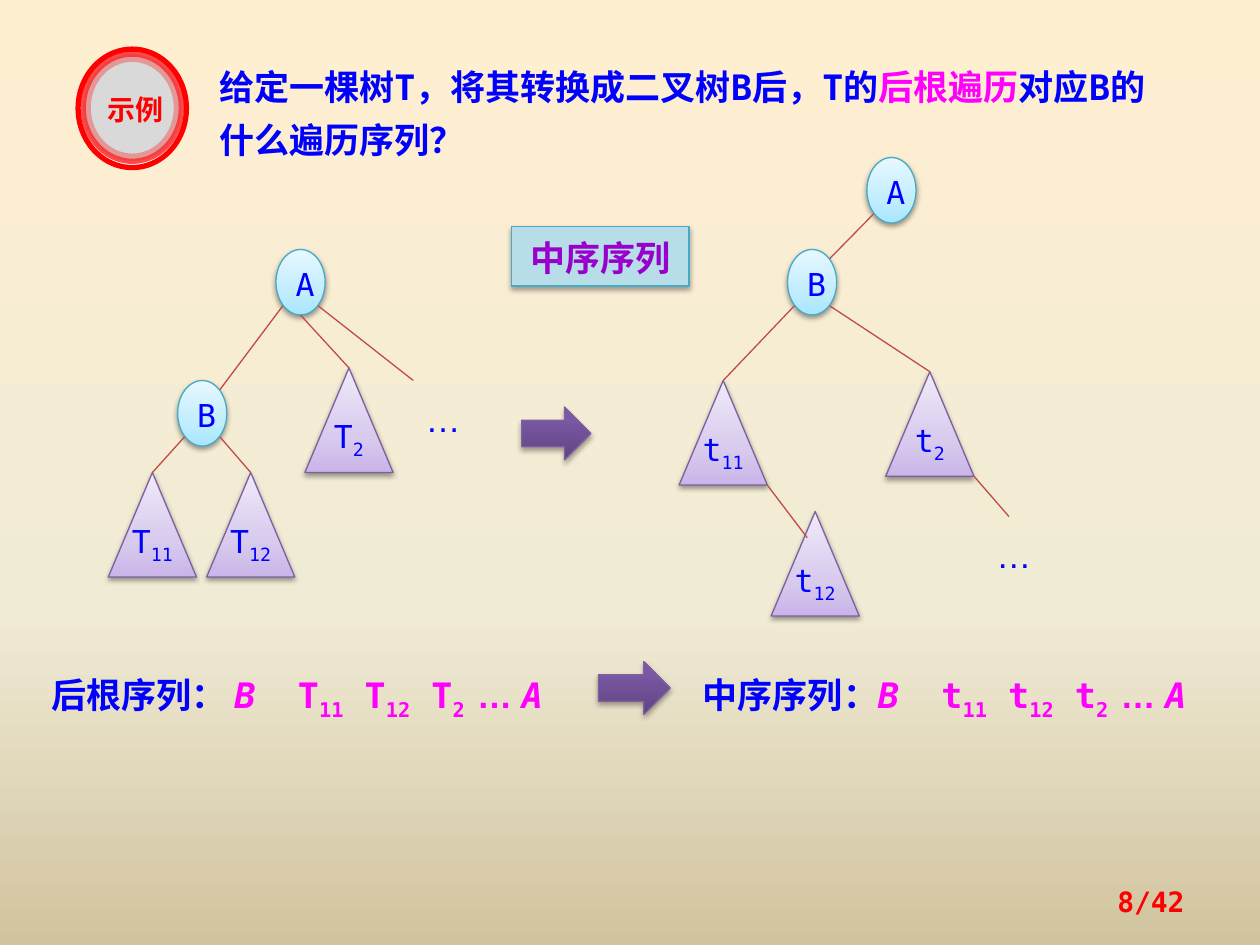
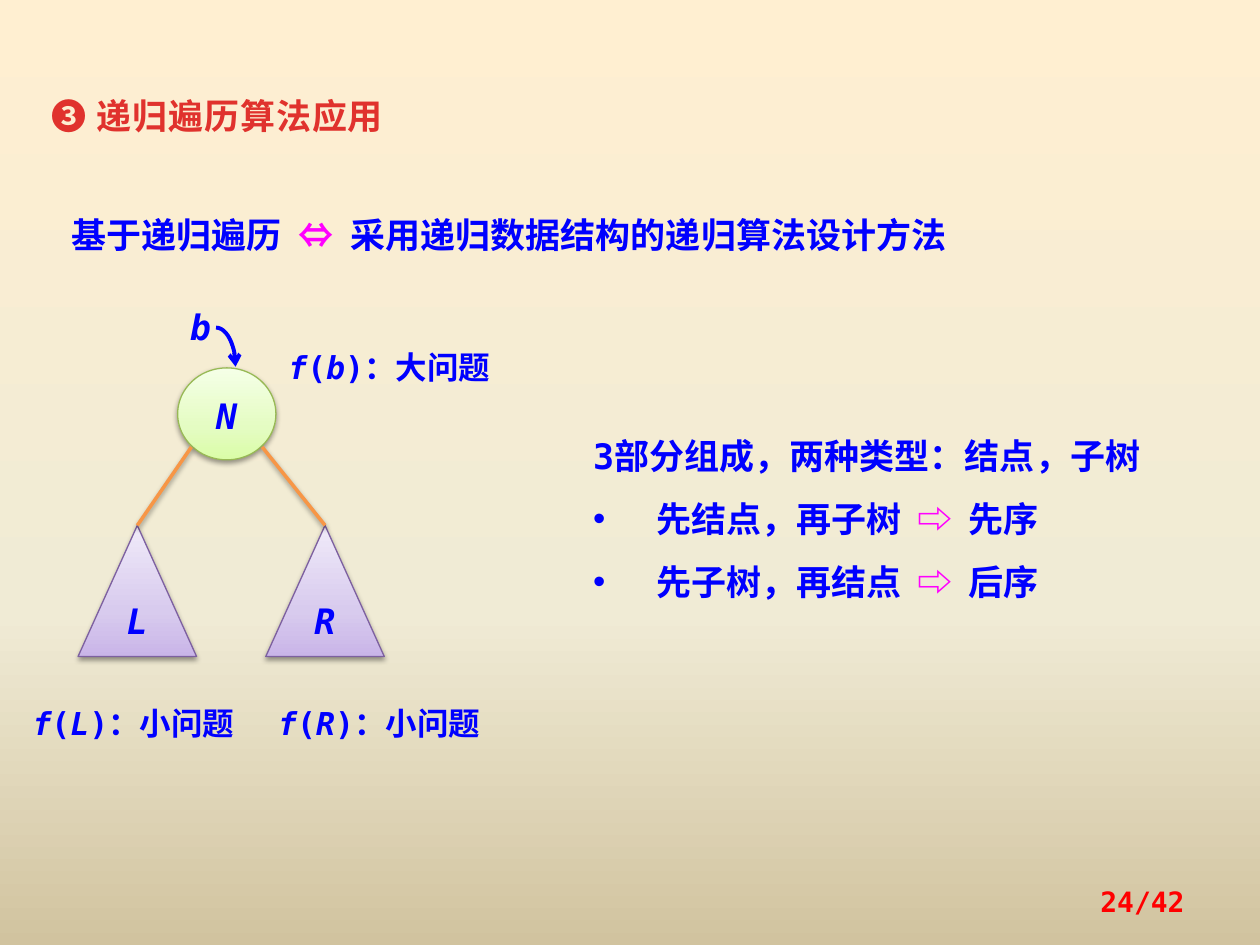
from lxml.etree import SubElement
from pptx import Presentation
from pptx.dml.color import RGBColor
from pptx.enum.shapes import MSO_CONNECTOR as Connector, MSO_SHAPE as Shape
from pptx.enum.text import MSO_ANCHOR as Anchor, MSO_AUTO_SIZE as AutoSize, PP_ALIGN as Align
from pptx.oxml.ns import qn
from pptx.util import Inches, Pt

WIDTH, HEIGHT = 10, 7.5
COLUMNS, ROWS = 128, 72
MONO, CJK, SERIF, SANS = "DejaVu Sans Mono", "Noto Sans CJK SC", "Times New Roman", "Arial"
COLORS = {
    "blue": "0000FF", "magenta": "FF00FF", "red": "FF0000", "violet": "9900CC",
    "edge": "BF4C48", "orange": "F79646", "label": "B7DEE8", "teal": "46AAC5",
    "purple": "7D60A0", "green": "98B955", "white": "F8F8F8", "gray": "D9D9D9",
}
GRADIENTS = {
    "background": ((0, "FFEFD1"), (65, "F0EBD5"), (100, "D1C39F")),
    "node": ((0, "A7E6FF"), (35, "C1EDFF"), (100, "E7F8FF")),
    "subtree": ((0, "C9B5E8"), (35, "D8CBEE"), (100, "F0EAF9")),
    "root": ((0, "DAFDA7"), (35, "E4FCC2"), (100, "F5FFE7")),
    "arrow": ((0, "5F4480"), (80, "7B58A6"), (100, "7C57A8")),
    "heading": ((25, "E0322D"), (100, "A2201C")),
}
SOFT_SHADOW, DEEP_SHADOW = (38, 1.6), (35, 1.8)

# Run styles
PLAIN = {"size": 20, "font": MONO, "color": "blue"}
SMALL = {**PLAIN, "size": 18}
BOLD = {**PLAIN, "bold": True}
NOTE = {**BOLD, "size": 18}
PINK = {"color": "magenta"}
ITALIC = {"italic": True}
SUB = {"baseline": -25}
WIDE, NARROW = {"spacing": 12}, {"spacing": 4.5}

# Places are (column, row, columns, rows)
NODE_SIZE, SUBTREE_SIZE, DOTS_SIZE = (5, 5), (9, 8), (7, 4.4)
TREE_NODES = {"A": ("A", 28, 19), "B": ("B", 18, 29), "binary A": ("A", 88, 12), "binary B": ("B", 80, 19)}
SUBTREES = {
    "T11": (11, 36), "T12": (21, 36), "T2": (31, 28),
    "t11": (69, 29), "t12": (78.4, 39), "t2": (90, 28.3),
}
DOTS = {"more T": (42, 29), "more t": (100, 39.4)}
LOWER_LEFT, LOWER_RIGHT, UPPER_RIGHT = (0.14, 0.86), (0.86, 0.86), (0.86, 0.14)
APEX, BOTTOM, CORNER = (0.5, 0), (0.5, 1), (1, 1)
TREE_EDGES = [
    ("A", LOWER_LEFT, "B", UPPER_RIGHT), ("A", BOTTOM, "T2", APEX), ("A", LOWER_RIGHT, "more T", (0, 0)),
    ("B", LOWER_LEFT, "T11", APEX), ("B", LOWER_RIGHT, "T12", APEX),
    ("binary A", LOWER_LEFT, "binary B", UPPER_RIGHT), ("binary B", LOWER_LEFT, "t11", APEX),
    ("binary B", LOWER_RIGHT, "t2", APEX), ("t11", CORNER, "t12", (0.41, 0.25)),
    ("t2", CORNER, "more t", (0.36, 0)),
]
ARROWS = [(60.8, 50.4, 7.3, 4), (53, 31, 7, 4)]
QUESTION = [("给定一棵树T，将其转换成二叉树B后，T的", {}), ("后根遍历", PINK), ("对应B的什么遍历序列？", {})]
SEQUENCES = [("后根序列： ", "T", (4, 50.5, 55.8, 5)), ("中序序列：", "t", (70.1, 50.5, 52.9, 5))]
BADGE = (8, 3.75, 11, 9)
RINGS = [("white", 100), ("gray", 70), (None, 30)]

METHOD = [
    ("基于递归遍历", {}), (" ", {"spacing": 5}), ("⇔", PINK), (" ", {"spacing": 5}),
    ("采用递归数据结构的递归算法设计方法", {}),
]
PROBLEMS = [("b", "大问题", (28, 25, 26, 5)), ("L", "小问题", (2, 52, 24, 5)), ("R", "小问题", (27, 52, 25, 5))]
PARTS = "3部分组成，两种类型：结点，子树"
ORDERS = [("先结点，再子树", "先序"), ("先子树，再结点", "后序")]
ROOT = (18, 28, 10, 7)
CHILDREN = [("L", (8, 40, 12, 10), LOWER_LEFT), ("R", (27, 40, 12, 10), LOWER_RIGHT)]


def grid(place):
    units = (WIDTH / COLUMNS, HEIGHT / ROWS) * 2
    return [Inches(round(value * unit, 2)) for value, unit in zip(place, units)]


def rgb(name):
    return RGBColor.from_string(COLORS[name])


def set_gradient(fill, element, name, angle):
    fill.solid()
    gradient = next(element.iter(qn("a:solidFill")))
    gradient.tag = qn("a:gradFill")
    for child in list(gradient):
        gradient.remove(child)
    stops = SubElement(gradient, qn("a:gsLst"))
    for position, color in GRADIENTS[name]:
        stop = SubElement(stops, qn("a:gs"), pos=str(position * 1000))
        SubElement(stop, qn("a:srgbClr"), val=color)
    SubElement(gradient, qn("a:lin"), ang=str(angle * 60000), scaled="0")


def set_shadow(shape, shadow):
    effects = shape.element.spPr.find(qn("a:effectLst"))
    if effects is None:
        effects = SubElement(shape.element.spPr, qn("a:effectLst"))
    if shadow:
        alpha, distance = shadow
        outer = SubElement(effects, qn("a:outerShdw"), blurRad=str(Pt(3.1)), dist=str(Pt(distance)),
                           dir="5400000", rotWithShape="0")
        color = SubElement(outer, qn("a:srgbClr"), val="000000")
        SubElement(color, qn("a:alpha"), val=str(alpha * 1000))


def add_run(paragraph, text, style):
    run = paragraph.add_run()
    run.text = text
    font = run.font
    font.size, font.name = Pt(style["size"]), style["font"]
    font.bold, font.italic = style.get("bold"), style.get("italic")
    if style["color"] in GRADIENTS:
        set_gradient(font.fill, run._r, style["color"], 90)
    else:
        font.color.rgb = rgb(style["color"])
    properties = run._r.get_or_add_rPr()
    properties.find(qn("a:latin")).addnext(properties.makeelement(qn("a:ea"), {"typeface": CJK}))
    if "spacing" in style:
        properties.set("spc", str(round(style["spacing"] * 100)))
    if "baseline" in style:
        properties.set("baseline", str(style["baseline"] * 1000))


def write(paragraph, runs, base, spacing=None, align=None):
    paragraph.line_spacing, paragraph.alignment = spacing, align
    for text, style in runs:
        add_run(paragraph, text, {**base, **style})


def add_text(slide, place, runs, base=BOLD, spacing=Pt(30), align=None):
    box = slide.shapes.add_textbox(*grid(place))
    box.text_frame.word_wrap = True
    box.text_frame.auto_size = AutoSize.SHAPE_TO_FIT_TEXT
    write(box.text_frame.paragraphs[0], runs, base, spacing, align)
    return box


def add_figure(slide, kind, place, fill, line, width=0.75, shadow=None):
    shape = slide.shapes.add_shape(kind, *grid(place))
    shape.shadow.inherit = False
    set_shadow(shape, shadow)
    if fill is None:
        shape.fill.background()
    elif fill in GRADIENTS:
        set_gradient(shape.fill, shape.element.spPr, fill, 270)
    else:
        shape.fill.solid()
        shape.fill.fore_color.rgb = rgb(fill)
    shape.line.color.rgb, shape.line.width = rgb(line), Pt(width)
    return shape


def add_node(slide, place, runs, base, fill="node", line="teal"):
    shape = add_figure(slide, Shape.OVAL, place, fill, line, shadow=SOFT_SHADOW)
    write(shape.text_frame.paragraphs[0], runs, base, 1.1, Align.CENTER)
    return shape


def add_subtree(slide, place, runs, base, spacing):
    shape = add_figure(slide, Shape.ISOSCELES_TRIANGLE, place, "subtree", "purple", shadow=SOFT_SHADOW)
    write(shape.text_frame.paragraphs[0], runs, base, spacing, Align.CENTER)
    return shape


def point(shape, share):
    return (round(shape.left + shape.width * share[0]), round(shape.top + shape.height * share[1]))


def add_edge(slide, parent, start, child, end, color="edge", width=0.75, shadow=None):
    edge = slide.shapes.add_connector(Connector.STRAIGHT, *point(parent, start), *point(child, end))
    if end == APEX:
        edge.end_connect(child, 0)
    edge.line.color.rgb, edge.line.width = rgb(color), Pt(width)
    set_shadow(edge, shadow)


def add_page(presentation):
    slide = presentation.slides.add_slide(presentation.slide_layouts[6])
    set_gradient(slide.background.fill, slide.element, "background", 90)
    return slide


def add_page_number(slide, number):
    box = add_text(slide, (91.8, 66.7, 29.8, 3.8), [(f"{number}/42", {})],
                   {**BOLD, "size": 16, "color": "red"}, None, Align.RIGHT)
    box.text_frame.auto_size = AutoSize.NONE
    box.text_frame.vertical_anchor = Anchor.MIDDLE


def add_badge(slide):
    column, row, columns, rows = BADGE
    for index, (fill, alpha) in enumerate(RINGS):
        across, down = index * 0.5, index * 0.4
        place = (column + across, row + down, columns - 2 * across, rows - 2 * down)
        ring = add_figure(slide, Shape.OVAL, place, fill, "red", 3)
        if alpha < 100:
            color = next(ring.element.spPr.find(qn("a:ln")).iter(qn("a:srgbClr")))
            SubElement(color, qn("a:alpha"), val=str(alpha * 1000))
    add_text(slide, (9.1, 6.3, 9.3, 3.1), [("示例", {})],
             {**BOLD, "size": 16, "font": CJK, "color": "red"}, 1.1, Align.CENTER)


def sequence_runs(label, letter):
    runs = [(label, {}), ("B", {**PINK, **ITALIC}), (" ", {**PINK, **WIDE})]
    for prefix, index in (("", "11"), (" ", "12"), (" ", "2 ")):
        runs += [(prefix + letter, PINK), (index, {**PINK, **SUB})]
    return runs + [("… ", {**PINK, "font": SANS}), ("A", {**PINK, **ITALIC})]


def build_conversion(presentation):
    slide = add_page(presentation)
    add_text(slide, (21, 3.75, 97, 9), QUESTION)
    for label, letter, place in SEQUENCES:
        add_text(slide, place, sequence_runs(label, letter))
    for place in ARROWS:
        add_figure(slide, Shape.RIGHT_ARROW, place, "arrow", "purple", shadow=DEEP_SHADOW)
    parts = {}
    for name, (letter, *corner) in TREE_NODES.items():
        parts[name] = add_node(slide, (*corner, *NODE_SIZE), [(letter, {})], SMALL)
    for name, corner in SUBTREES.items():
        subtree = add_subtree(slide, (*corner, *SUBTREE_SIZE), [(name[0], {}), (name[1:], SUB)], SMALL, Pt(16))
        frame = subtree.text_frame
        frame.margin_left = frame.margin_right = frame.margin_top = frame.margin_bottom = 0
        parts[name] = subtree
    for name, corner in DOTS.items():
        parts[name] = add_text(slide, (*corner, *DOTS_SIZE), [("…", {})], {**PLAIN, "font": SANS})
    for parent, start, child, end in TREE_EDGES:
        add_edge(slide, parts[parent], start, parts[child], end)
    answer = add_figure(slide, Shape.RECTANGLE, (52, 17.3, 18, 4.5), "label", "teal", shadow=DEEP_SHADOW)
    answer.text_frame.vertical_anchor = Anchor.TOP
    write(answer.text_frame.paragraphs[0], [("中序序列", {})], {**BOLD, "color": "violet"}, Pt(26), Align.CENTER)
    add_badge(slide)
    add_page_number(slide, 8)


def build_recursion(presentation):
    slide = add_page(presentation)
    add_text(slide, (4, 6, 45, 4.6), [("❸ 递归遍历算法应用", {})],
             {**BOLD, "font": CJK, "color": "heading", "spacing": 0.5})
    add_text(slide, (6, 15, 114, 4.6), METHOD, {**BOLD, "font": SERIF})
    root = add_node(slide, ROOT, [("N", ITALIC)], BOLD, "root", "green")
    for letter, place, start in CHILDREN:
        child = add_subtree(slide, place, [(letter, ITALIC)], BOLD, Pt(20))
        add_edge(slide, root, start, child, APEX, "orange", 2, SOFT_SHADOW)
    pointer = add_figure(slide, Shape.ARC, (20, 25, 4, 6), None, "blue", 2.25)
    SubElement(pointer.element.spPr.find(qn("a:ln")), qn("a:tailEnd"), type="arrow")
    add_text(slide, (18, 22, 6, 5), [("b", ITALIC)])
    for argument, problem, place in PROBLEMS:
        add_text(slide, place, [("f", ITALIC), ("(", {}), (argument, ITALIC), (f")：{problem}", {})], NOTE)
    body = add_text(slide, (59, 31, 65, 15), [(PARTS, {})], BOLD, 1.5)
    for steps, order in ORDERS:
        paragraph = body.text_frame.add_paragraph()
        properties = paragraph._p.get_or_add_pPr()
        properties.set("marL", str(Inches(0.5)))
        properties.set("indent", str(Inches(-0.5)))
        SubElement(properties, qn("a:buFont"), typeface=SANS)
        SubElement(properties, qn("a:buChar"), char="•")
        write(paragraph, [(steps, {}), (" ", NARROW), ("⇨", PINK), (" ", NARROW), (order, {})], BOLD, 1.5)
    add_page_number(slide, 24)


def main():
    presentation = Presentation()
    presentation.slide_width, presentation.slide_height = Inches(WIDTH), Inches(HEIGHT)
    build_conversion(presentation)
    build_recursion(presentation)
    presentation.save("out.pptx")


if __name__ == "__main__":
    main()
